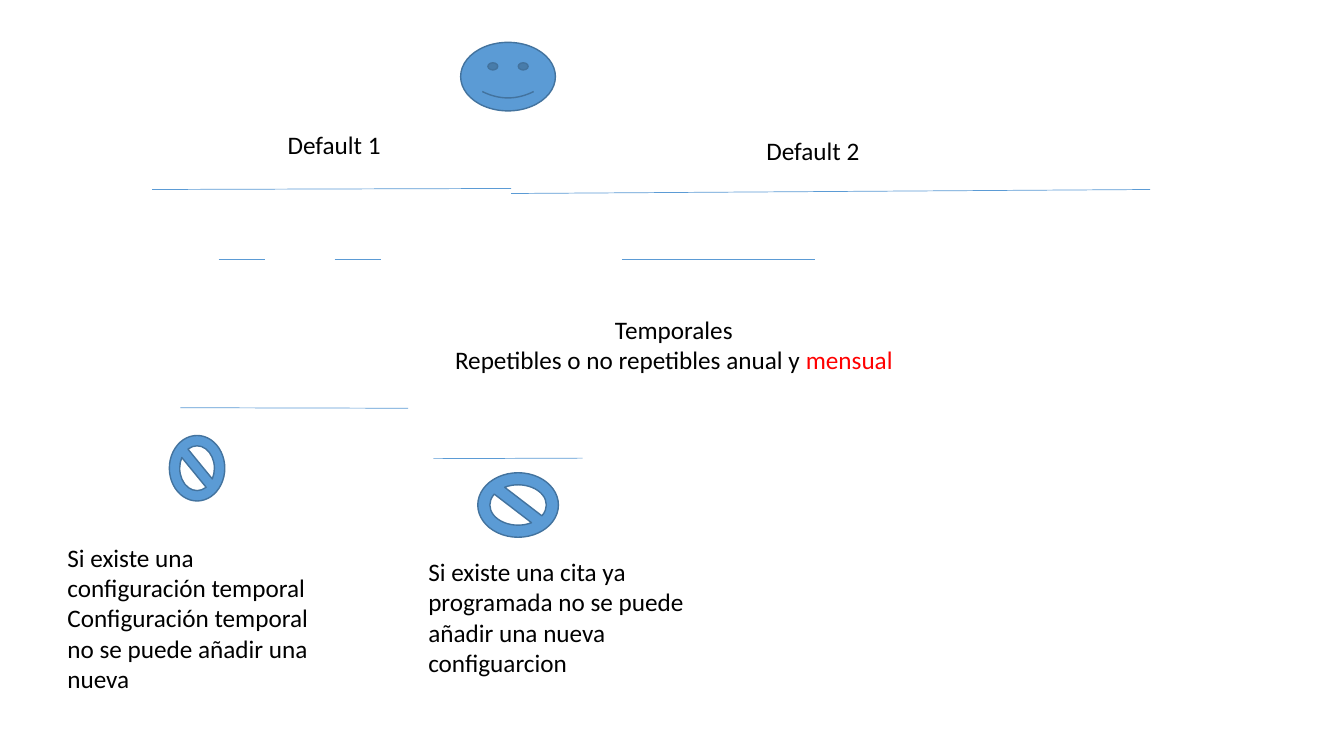
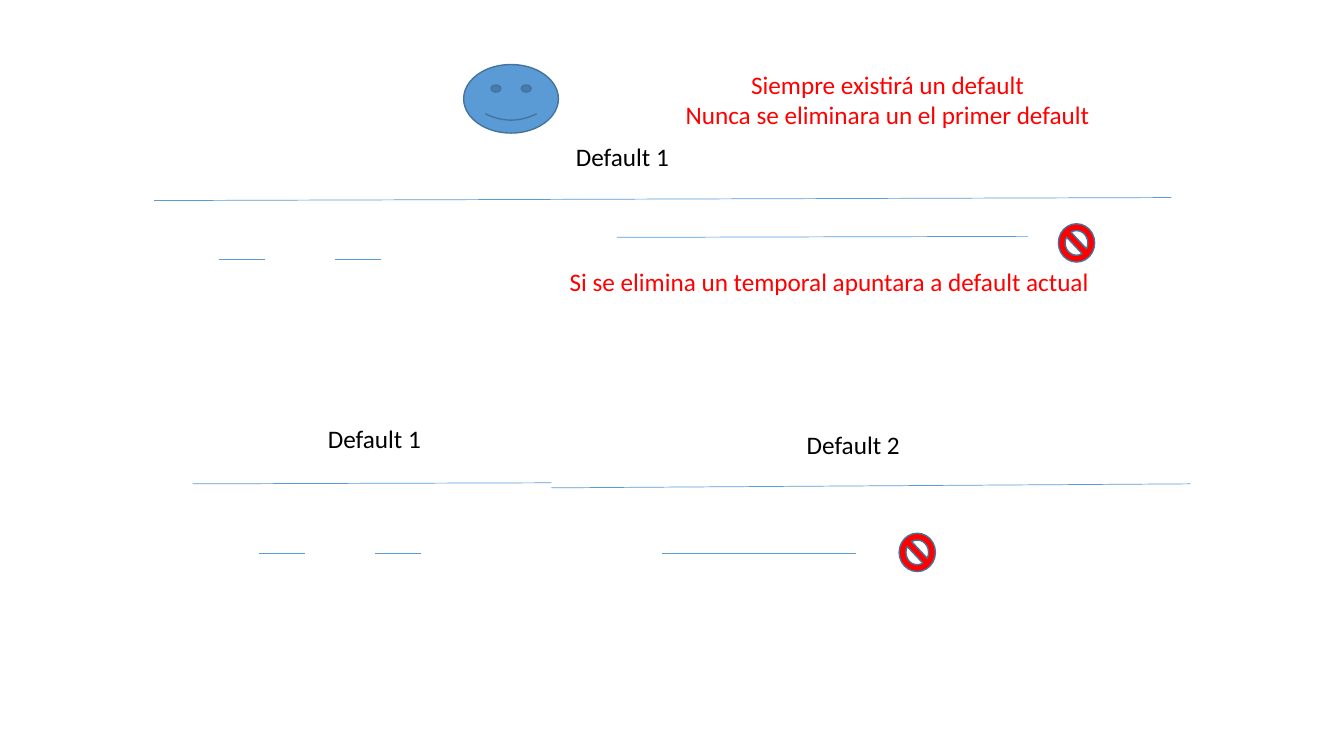
import lxml.etree
import pptx
import pptx.dml.color
import pptx.enum.shapes
import pptx.enum.text
import pptx.oxml.ns
import pptx.util

COLORS = {"blue": "5B9BD5", "edge": "43739E", "red": "FF0000", "black": "000000"}
SHAPES = pptx.enum.shapes.MSO_SHAPE
ALIGN = pptx.enum.text.PP_ALIGN
CELL = pptx.util.Inches(0.1)  # one column or row of the grid
COLUMNS, ROWS = 133.33, 75


def cells(*counts):
    return [round(count * CELL) for count in counts]


def color(name):
    return pptx.dml.color.RGBColor.from_string(COLORS[name])


def apply(target, formats):
    for name, value in formats.items():
        setattr(target, name, value)


class Sketch:
    font = {"name": "Calibri", "size": pptx.util.Pt(18)}
    frame = {"word_wrap": True, "auto_size": pptx.enum.text.MSO_AUTO_SIZE.SHAPE_TO_FIT_TEXT}

    def __init__(self):
        self.deck = pptx.Presentation()
        apply(self.deck, dict(zip(("slide_width", "slide_height"), cells(COLUMNS, ROWS))))
        self.page = None

    def new_page(self):
        self.page = self.deck.slides.add_slide(self.deck.slide_layouts[6])

    def line(self, left, top, right, bottom):
        line = self.page.shapes.add_connector(
            pptx.enum.shapes.MSO_CONNECTOR.STRAIGHT, *cells(left, top, right, bottom))
        line.line.color.rgb = color("blue")
        line.line.width = pptx.util.Pt(0.5)
        lxml.etree.SubElement(line._element.spPr, pptx.oxml.ns.qn("a:effectLst"))

    def symbol(self, kind, left, top, width, height, fill="blue"):
        shape = self.page.shapes.add_shape(kind, *cells(left, top, width, height))
        shape.shadow.inherit = False
        shape.fill.solid()
        shape.fill.fore_color.rgb = color(fill)
        shape.line.color.rgb = color("edge")
        shape.line.width = pptx.util.Pt(1)

    def face(self, left, top):
        self.symbol(SHAPES.SMILEY_FACE, left, top, 9.4, 6.8)

    def forbidden(self, left, top, width=3.6, height=3.8, fill="red"):
        self.symbol(SHAPES.NO_SYMBOL, left, top, width, height, fill)

    def text(self, left, top, width, height, *paragraphs, align=ALIGN.CENTER):
        """Each paragraph is a list of (words, color name) pairs."""
        box = self.page.shapes.add_textbox(*cells(left, top, width, height))
        apply(box.text_frame, self.frame)
        for index, spans in enumerate(paragraphs):
            para = box.text_frame.add_paragraph() if index else box.text_frame.paragraphs[0]
            para.alignment = align
            for words, name in spans:
                span = para.add_run()
                span.text = words
                apply(span.font, self.font)
                span.font.color.rgb = color(name)

    def label(self, left, top, words):
        self.text(left, top, 14.7, 4, [(words, "black")])

    def note(self, left, top, height, words):
        self.text(left, top, 27.8, height, [(words, "black")], align=ALIGN.LEFT)

    def dashes(self, x=0, y=0):
        for left in (21.7, 33.2):
            self.line(x + left, y + 25.7, x + left + 4.6, y + 25.7)

    def two_defaults(self, x=0, y=0):
        """Two default periods side by side, with their temporary ones below."""
        self.line(x + 15.1, y + 18.8, x + 50.7, y + 18.7)
        self.label(x + 25.8, y + 12.3, "Default 1")
        self.line(x + 50.7, y + 19.2, x + 114.1, y + 18.8)
        self.label(x + 73.3, y + 12.9, "Default 2")
        self.dashes(x, y)
        self.line(x + 61.7, y + 25.7, x + 80.9, y + 25.7)


def conflicts_page(sketch):
    sketch.new_page()
    sketch.face(45.7, 4.2)
    sketch.two_defaults()
    sketch.text(19.6, 30.7, 94.5, 7.1,
                [("Temporales", "black")],
                [("Repetibles o no repetibles anual y ", "black"), ("mensual", "red")])
    # Cases that are not allowed
    sketch.line(17.9, 40.45, 40.5, 40.5)
    sketch.forbidden(16.8, 43.2, 5.5, 6.5, "blue")
    sketch.note(5.7, 53.3, 16.2, "Si existe una configuración temporal Configuración temporal "
                                 "no se puede añadir una nueva")
    sketch.line(43, 45.5, 57.8, 45.45)
    sketch.forbidden(47.4, 46.9, 8, 6.4, "blue")
    sketch.note(41.5, 54.7, 13.1, "Si existe una cita ya programada no se puede "
                                  "añadir una nueva configuarcion")


def removal_page(sketch):
    sketch.new_page()
    # One default period
    sketch.face(46, 6.4)
    sketch.text(57.1, 6.4, 61.9, 7.1,
                [("Siempre existirá un default", "red")],
                [("Nunca se eliminara un el primer default", "red")])
    sketch.line(15.3, 19.9, 116.2, 19.6)
    sketch.label(54.4, 13.5, "Default 1")
    sketch.dashes()
    sketch.line(61.2, 23.55, 102, 23.45)
    sketch.forbidden(105, 22.2)
    sketch.text(51.6, 25.9, 61.9, 4,
                [("Si se elimina un temporal apuntara a default actual ", "red")])
    # Two default periods
    sketch.two_defaults(4, 29.2)
    sketch.forbidden(89.2, 52.9)


def main():
    sketch = Sketch()
    conflicts_page(sketch)
    removal_page(sketch)
    sketch.deck.save("out.pptx")


if __name__ == "__main__":
    main()
